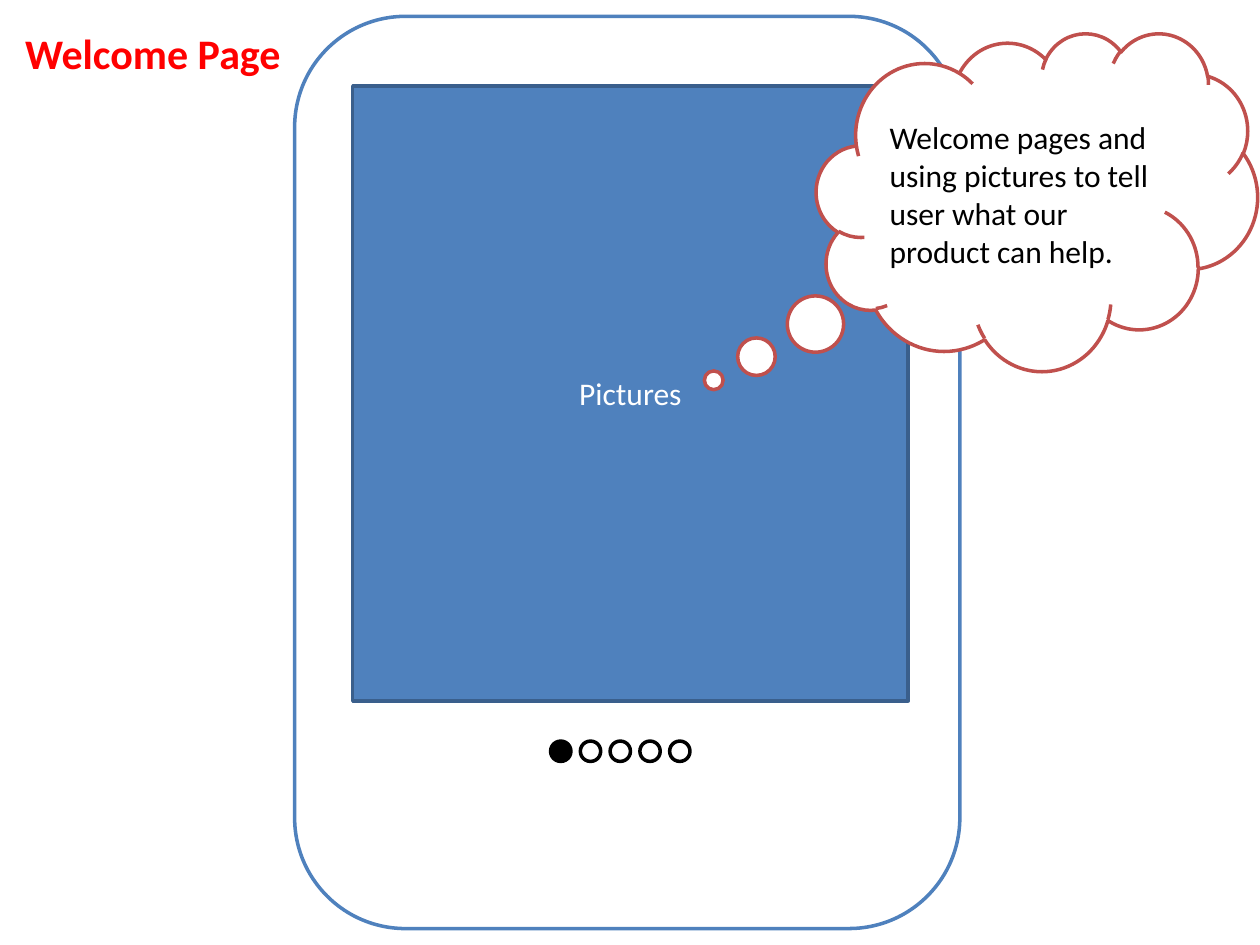
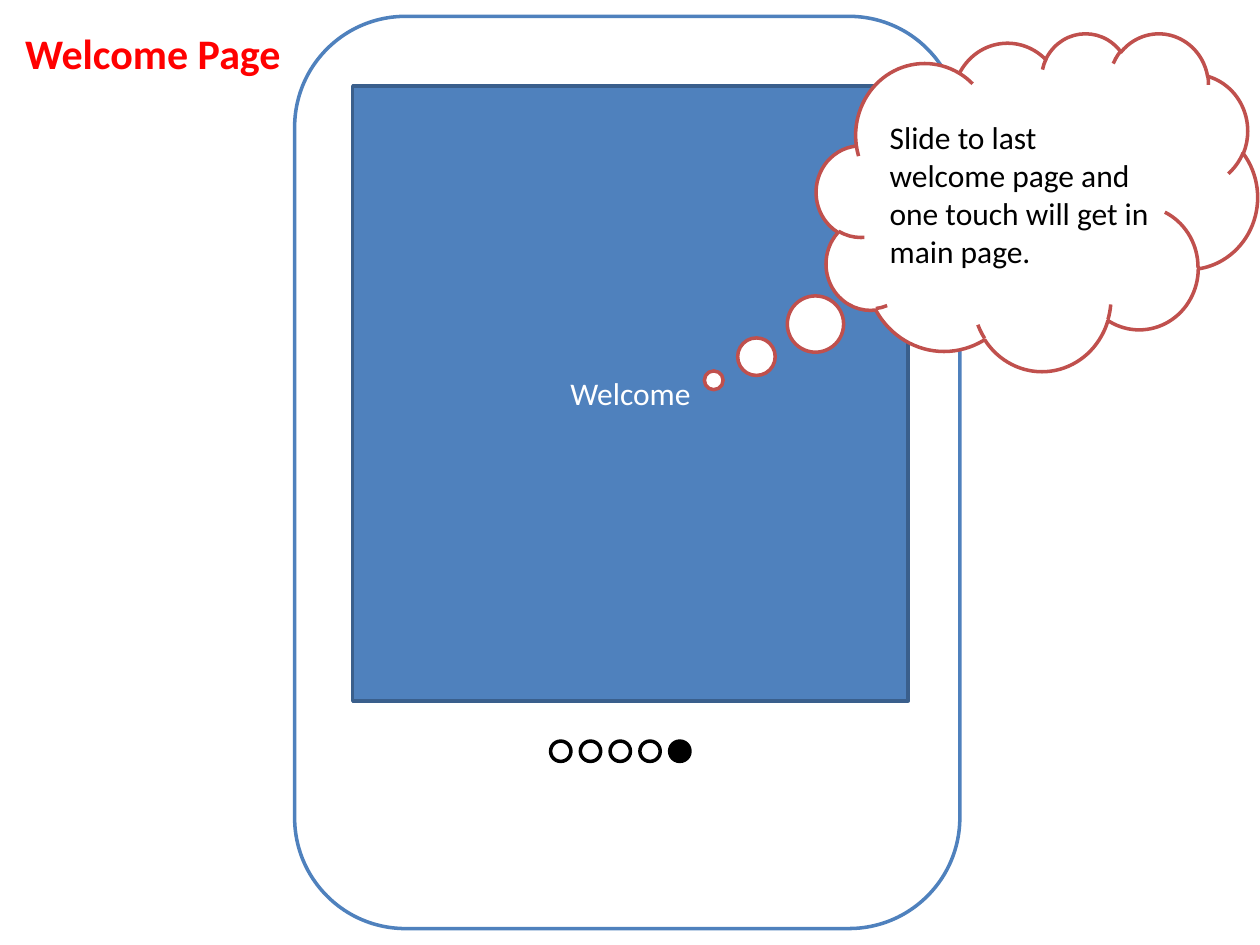
from pptx import Presentation
from pptx.dml.color import RGBColor
from pptx.enum import shapes, text
from pptx.util import Cm, Pt

# Content: picture label, active dot, remark
TITLE = "Welcome Page"
PAGES = [
    ("Pictures", 0, "Welcome pages and using pictures to tell user "
                    "what our product can help."),
    ("Welcome", 4, "Slide to last welcome page and one touch will "
                   "get in main page."),
]

# Shared style, boxes as left, top, width, height in cm
FONT = "Calibri"
WHITE, BLACK, RED = "FFFFFF", "000000", "FF0000"
BLUE, DARK_BLUE, BRICK = "4F81BD", "3A5F8C", "C0504D"
TITLE_BOX = (0.25, 0.43, 5.72, 1.27)
PHONE_BOX = (5.94, 0.33, 13.41, 18.39)
SCREEN_BOX = (7.11, 1.73, 11.2, 12.4)
CLOUD_BOX = (16.46, 0.66, 8.89, 6.81)
CLOUD_TAIL = (-0.733, 0.529)
DOTS, DOT_LEFT, DOT_TOP, DOT_SIZE, DOT_STEP = 5, 11.1, 14.94, 0.41, 0.6

KIND = shapes.MSO_SHAPE
ALIGN = text.PP_ALIGN


def rgb(value):
    return RGBColor.from_string(value)


def write(sp, words, size, color, align=ALIGN.LEFT, bold=False):
    p = sp.text_frame.paragraphs[0]
    p.alignment = align
    r = p.add_run()
    r.text = words
    r.font.name, r.font.size, r.font.bold = FONT, Pt(size), bold
    r.font.color.rgb = rgb(color)


def add_shape(s, kind, box, fill, line):
    sp = s.shapes.add_shape(kind, *map(Cm, box))
    sp.shadow.inherit = False
    sp.fill.solid()
    sp.fill.fore_color.rgb = rgb(fill)
    sp.line.color.rgb = rgb(line)
    sp.line.width = Pt(2)
    sp.text_frame.vertical_anchor = text.MSO_ANCHOR.MIDDLE
    return sp


def add_title(s):
    sp = s.shapes.title
    sp.left, sp.top, sp.width, sp.height = map(Cm, TITLE_BOX)
    tf = sp.text_frame
    tf.word_wrap = False
    tf.auto_size = text.MSO_AUTO_SIZE.SHAPE_TO_FIT_TEXT
    tf.vertical_anchor = text.MSO_ANCHOR.TOP
    write(sp, TITLE, 24, RED, bold=True)


def add_page(prs, label, active, remark):
    s = prs.slides.add_slide(prs.slide_layouts[5])
    add_title(s)

    # Phone and its screen
    add_shape(s, KIND.ROUNDED_RECTANGLE, PHONE_BOX, WHITE, BLUE)
    screen = add_shape(s, KIND.RECTANGLE, SCREEN_BOX, BLUE, DARK_BLUE)
    write(screen, label, 18, WHITE, ALIGN.CENTER)

    # Page dots
    for i in range(DOTS):
        box = (DOT_LEFT + i * DOT_STEP, DOT_TOP, DOT_SIZE, DOT_SIZE)
        add_shape(s, KIND.OVAL, box, BLACK if i == active else WHITE, BLACK)

    # Remark
    cloud = add_shape(s, KIND.CLOUD_CALLOUT, CLOUD_BOX, WHITE, BRICK)
    for i, value in enumerate(CLOUD_TAIL):
        cloud.adjustments[i] = value
    write(cloud, remark, 18, BLACK)


prs = Presentation()
prs.slide_width, prs.slide_height = Cm(25.4), Cm(19.05)
for page in PAGES:
    add_page(prs, *page)
prs.save("out.pptx")
